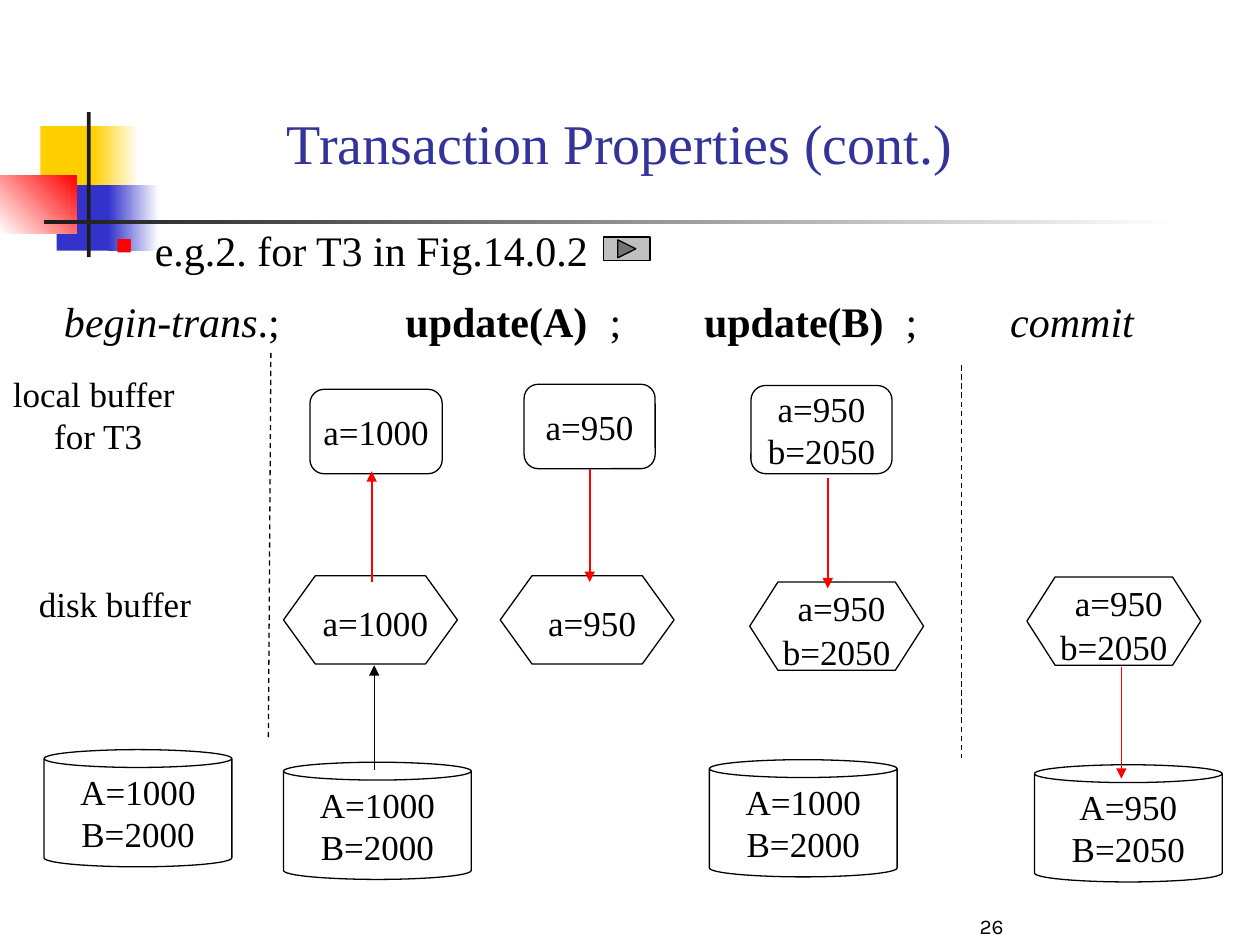
from lxml import etree
from pptx import Presentation
from pptx.dml.color import RGBColor
from pptx.enum import dml, shapes, text
from pptx.oxml import ns
from pptx.util import Inches, Pt

SERIF = "Times New Roman"
BLACK, RED, WHITE = "000000", "FF0000", "FFFFFF"
CENTER, LEFT = text.PP_ALIGN.CENTER, text.PP_ALIGN.LEFT
MIDDLE, TOP = text.MSO_ANCHOR.MIDDLE, text.MSO_ANCHOR.TOP
KIND = shapes.MSO_SHAPE


def rgb(value):
    return RGBColor.from_string(value)


def child(parent, tag, **attributes):
    return etree.SubElement(parent, ns.qn(tag), attributes)


def write(frame, lines, size=20, font=SERIF, color=BLACK, align=CENTER,
          anchor=MIDDLE, wrap=False):
    frame.word_wrap = wrap
    frame.vertical_anchor = anchor
    for index, line in enumerate(lines):
        paragraph = frame.add_paragraph() if index else frame.paragraphs[0]
        paragraph.alignment = align
        for words, style in [(line, {})] if isinstance(line, str) else line:
            run = paragraph.add_run()
            run.text = words
            run.font.size = Pt(style.get("size", size))
            run.font.name = style.get("font", font)
            run.font.bold = style.get("bold", False)
            run.font.italic = style.get("italic", False)
            run.font.color.rgb = rgb(color)


def add_text(slide, box, lines, **style):
    frame = slide.shapes.add_textbox(*map(Inches, box)).text_frame
    write(frame, lines, **style)
    return frame.paragraphs[0]


def add_node(slide, kind, box, adjustment, lines):
    node = slide.shapes.add_shape(kind, *map(Inches, box))
    node.shadow.inherit = False
    node.adjustments[0] = adjustment
    node.fill.background()
    node.line.color.rgb = rgb(BLACK)
    node.line.width = Pt(0.75)
    write(node.text_frame, lines)
    return node


def add_disk(slide, left, top, lines):
    add_node(slide, KIND.CAN, (left, top, 1.49, 0.93), 0.152, lines)


def add_disk_buffer(slide, left, top, adjustment, first, *others):
    spaced = [(" ", {"size": 24, "font": "Karla"}), (first, {})]
    add_node(slide, KIND.HEXAGON, (left, top, 1.38, 0.7), adjustment, [spaced, *others])


def add_local_buffer(slide, box, *lines):
    return add_node(slide, KIND.ROUNDED_RECTANGLE, box, 0.167, lines)


def add_line(slide, start, end, color=BLACK, width=0.75, dashed=False, source=None):
    line = slide.shapes.add_connector(
        shapes.MSO_CONNECTOR.STRAIGHT, *map(Inches, (*start, *end)))
    if source is not None:
        line.begin_connect(source, 2)
    line.line.color.rgb = rgb(color)
    line.line.width = Pt(width)
    if dashed:
        line.line.dash_style = dml.MSO_LINE.DASH
    else:
        child(line.line._get_or_add_ln(), "a:tailEnd", type="triangle")
    child(line._element.spPr, "a:effectLst")


def add_band(slide, box, start, end=None, angle=0):
    band = slide.shapes.add_shape(KIND.RECTANGLE, *map(Inches, box))
    band.shadow.inherit = False
    band.line.fill.background()
    if end is None:
        band.fill.solid()
        band.fill.fore_color.rgb = rgb(start)
    else:
        band.fill.gradient()
        band.fill.gradient_angle = angle
        for stop, color in zip(band.fill.gradient_stops, (start, end)):
            stop.color.rgb = rgb(color)


def add_decoration(slide):
    yellow, blue, dark = "FFCF01", "3333CC", "1C1C1C"
    add_band(slide, (0.32, 1, 0.48, 0.52), yellow)
    add_band(slide, (0.74, 1, 0.36, 0.52), yellow, WHITE)
    add_band(slide, (0.45, 1.47, 0.46, 0.52), blue)
    add_band(slide, (0.86, 1.47, 0.4, 0.52), blue, WHITE)
    add_band(slide, (0, 1.39, 0.61, 0.46), WHITE, RED, angle=45)
    add_band(slide, (0.69, 0.89, 0.03, 1.15), dark)
    add_band(slide, (0.35, 1.75, 9, 0.03), dark, WHITE)


def add_example(slide):
    example = add_text(slide, (0.32, 1.73, 9.25, 5.42), ["e.g.2. for T3 in Fig.14.0.2"],
                       size=24, align=LEFT, anchor=TOP, wrap=True)
    example.space_before = Pt(6)
    properties = example._p.get_or_add_pPr()
    properties.set("marL", str(Inches(0.81)))
    properties.set("indent", str(Inches(-0.31)))
    child(child(properties, "a:buClr"), "a:srgbClr", val=RED)
    child(properties, "a:buSzPct", val="55000")
    child(properties, "a:buChar", char="■")

    button = slide.shapes.add_shape(
        KIND.ACTION_BUTTON_FORWARD_OR_NEXT, *map(Inches, (4.79, 1.88, 0.37, 0.19)))
    button.shadow.inherit = False
    button.fill.solid()
    button.fill.fore_color.rgb = rgb("C0C0C0")
    button.line.color.rgb = rgb(BLACK)
    button.line.width = Pt(0.75)


def add_statements(slide):
    bold, italic = {"bold": True}, {"italic": True}
    statements = [("begin-trans", italic), (".;\t", {}), ("update(A)", bold), ("\t;\t", {}),
                  ("update(B)", bold), ("\t;\t", {}), ("commit", italic)]
    row = add_text(slide, (0.41, 2.3, 8.9, 0.5), [statements],
                   size=24, align=LEFT, anchor=TOP, wrap=True)
    stops = child(row._p.get_or_add_pPr(), "a:tabLst")
    for position in (2.71, 4.33, 5.08, 6.68, 7.51):
        child(stops, "a:tab", pos=str(Inches(position)), algn="l")


def add_diagram(slide):
    add_text(slide, (0, 2.91, 1.56, 0.77), ["local buffer ", "for T3"], anchor=TOP)
    add_text(slide, (0.21, 4.57, 1.41, 0.44), ["disk buffer"], align=LEFT, anchor=TOP)

    old_values, new_values = ["A=1000", "B=2000"], ["A=950", "B=2050"]
    for left, top, values in ((0.35, 5.95, old_values), (2.25, 6.05, old_values),
                              (5.63, 6.03, old_values), (8.21, 6.07, new_values)):
        add_disk(slide, left, top, values)

    add_local_buffer(slide, (2.46, 3.09, 1.05, 0.67), "a=1000")
    updated_a = add_local_buffer(slide, (4.16, 3.05, 1.04, 0.67), "a=950")
    add_local_buffer(slide, (5.96, 3.06, 1.12, 0.7), "a=950", "b=2050")

    add_disk_buffer(slide, 2.25, 4.57, 0.36, "a=1000")
    add_disk_buffer(slide, 3.97, 4.57, 0.36, "a=950")
    for left, top in ((5.95, 4.62), (8.15, 4.58)):
        add_disk_buffer(slide, left, top, 0.32, "a=950", "b=2050")

    add_line(slide, (2.15, 2.8), (2.13, 5.85), dashed=True)
    add_line(slide, (7.63, 2.9), (7.63, 6.02), dashed=True)
    add_line(slide, (2.97, 6.11), (2.97, 5.28))
    for start, end, source in (((2.95, 4.62), (2.95, 3.74), None),
                               ((4.68, 3.72), (4.68, 4.62), updated_a),
                               ((6.57, 3.79), (6.57, 4.67), None),
                               ((8.9, 5.29), (8.9, 6.18), None)):
        add_line(slide, start, end, color=RED, width=1, source=source)


def main():
    deck = Presentation()
    deck.slide_width, deck.slide_height = Inches(10), Inches(7.5)
    slide = deck.slides.add_slide(deck.slide_layouts[6])
    add_decoration(slide)
    add_text(slide, (0.67, 0.5, 8.5, 1.25), ["Transaction Properties (cont.)"],
             size=32, color="333399", wrap=True)
    add_example(slide)
    add_statements(slide)
    add_diagram(slide)
    add_text(slide, (6.83, 7, 2.08, 0.5), ["26"], size=12, font="Karla",
             anchor=text.MSO_ANCHOR.BOTTOM, wrap=True)
    deck.save("out.pptx")


if __name__ == "__main__":
    main()
